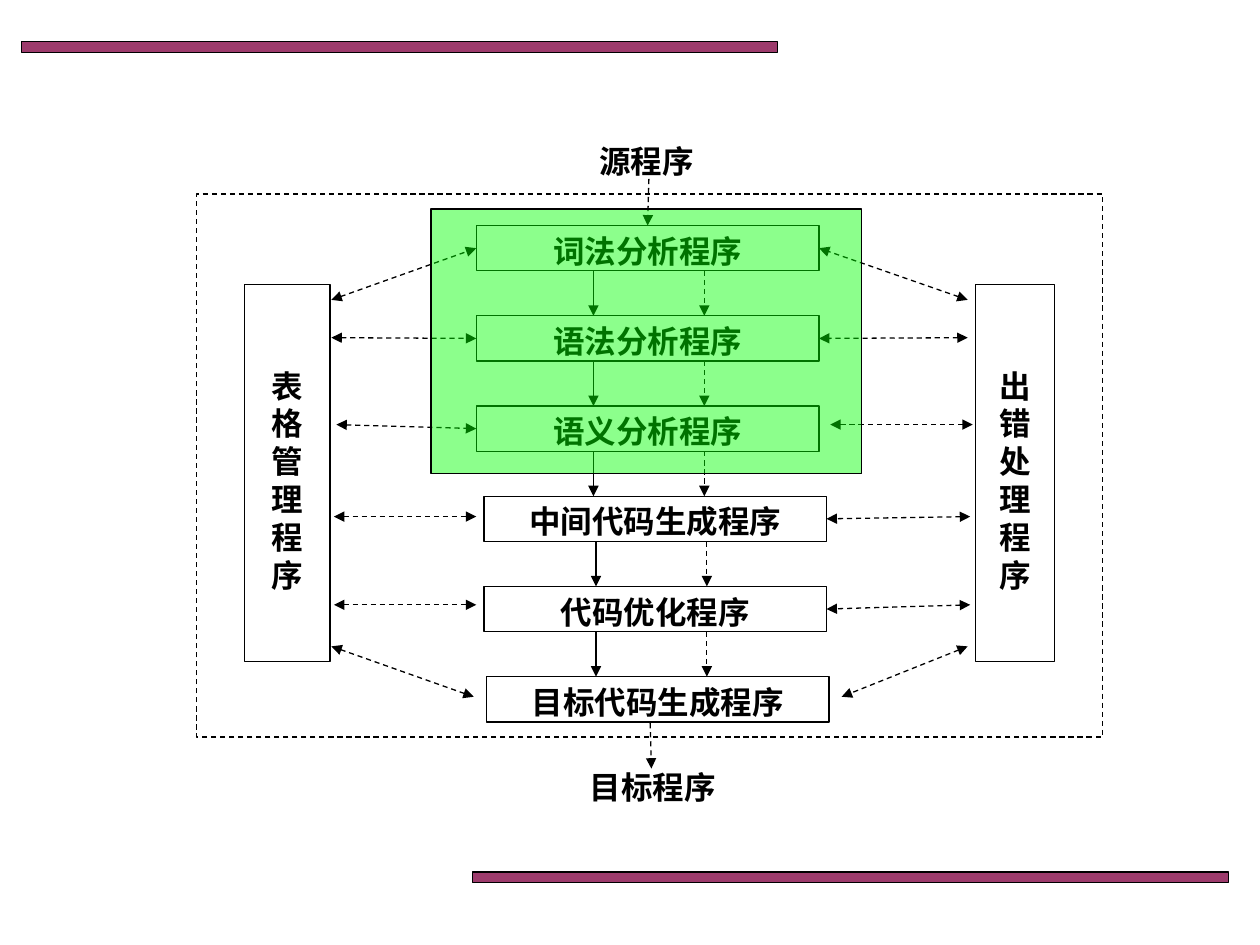
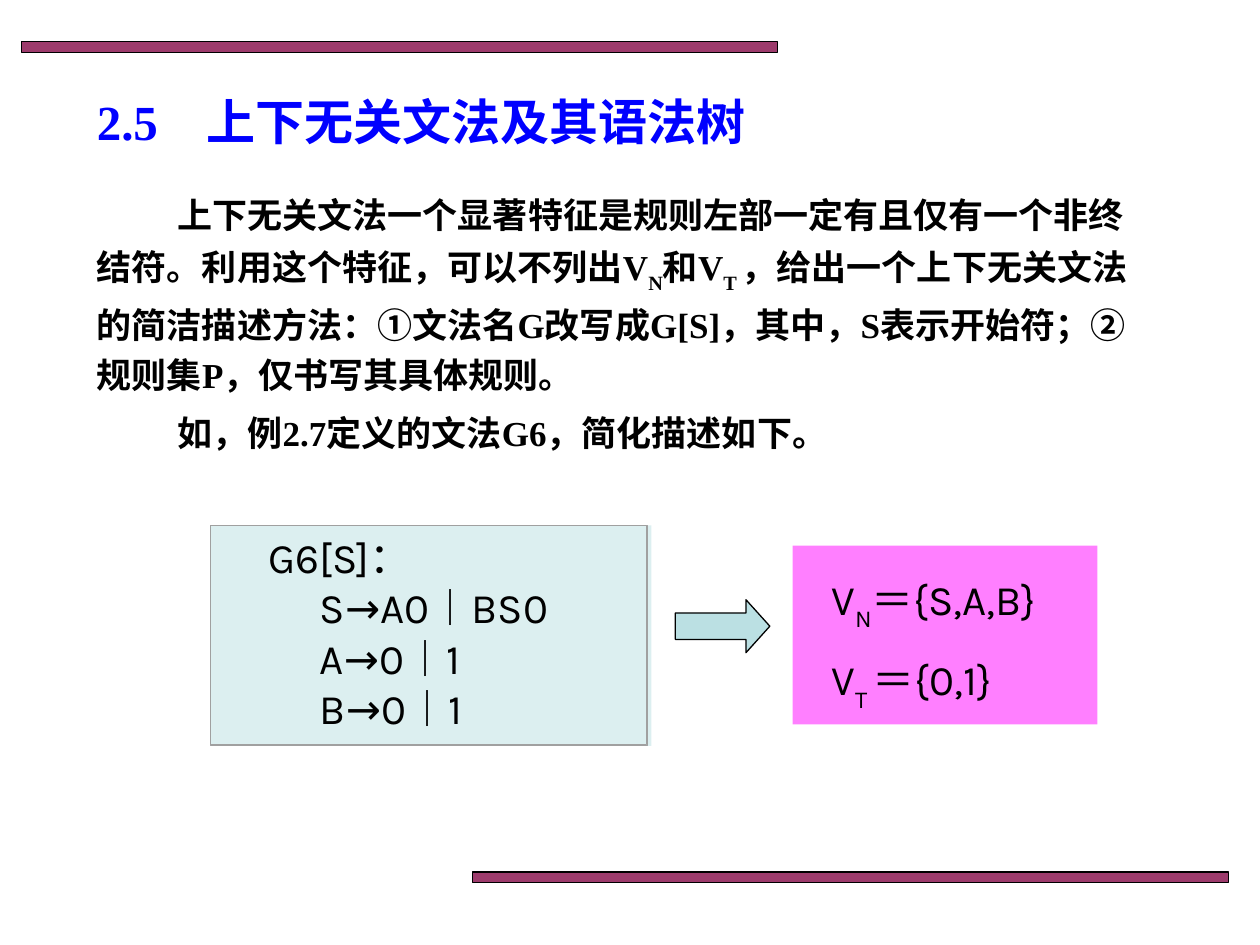
from collections import namedtuple
from math import hypot

from lxml.etree import SubElement
from pptx import Presentation
from pptx.dml.color import RGBColor
from pptx.enum.dml import MSO_LINE
from pptx.enum.shapes import MSO_CONNECTOR, MSO_SHAPE as SHAPE
from pptx.enum.text import MSO_ANCHOR as ANCHOR, PP_ALIGN as ALIGN
from pptx.oxml.ns import qn
from pptx.util import Inches, Pt

COLORS = {
    "black": "000000", "white": "FFFFFF", "bar": "993366", "title": "0000FF",
    "highlight": "00FF00", "sets": "FF00FF", "grammar": "BBE0E3", "edge": "A0A0A0",
}
SERIF, SANS = "Times New Roman", "Karla"
WIDTH, HEIGHT = Inches(10), Inches(7.5)
COL, ROW = WIDTH / 100, HEIGHT / 75
SNAP = 0.55

STEPS = ["词法分析程序", "语法分析程序", "语义分析程序",
         "中间代码生成程序", "代码优化程序", "目标代码生成程序"]
STEP_LEFTS = [22.2, 22.2, 22.2, 22.8, 22.8, 23]
Link = namedtuple("Link", "panel_y step_y panel_x left_x right_x")
LINKS = [
    Link(13, 8.7, 10.7, 21.8, 49.7),
    Link(16, 16, 10.7, 22, 49.9),
    Link(22.9, 22.9, 11.1, 22.4, 50.3),
    Link(30.2, 30.2, 10.9, 22.2, 50.1),
    Link(37.2, 37.2, 10.9, 22.2, 50.1),
    Link(40.5, 44.5, 10.7, 22, 51.2),
]
PANEL_GAP = 50.5


class Box(namedtuple("Box", "x y w h")):
    """A rectangle in grid columns and rows."""

    def sub(self, x, y, w, h):
        """Return a box placed relative to this one."""
        return Box(self.x + x, self.y + y, w, h)

    def point(self, x, y):
        """Return a grid point placed relative to this box."""
        return self.x + x, self.y + y

    def sides(self):
        """Return side middles in connection order: top, left, bottom, right."""
        mx, my = self.x + self.w / 2, self.y + self.h / 2
        return [(mx, self.y), (self.x, my), (mx, self.y + self.h), (self.x + self.w, my)]

    def emu(self):
        """Return left, top, width and height in EMU."""
        return [round(v * u) for v, u in zip(self, (COL, ROW, COL, ROW))]


def color(name):
    """Look up a named colour."""
    return RGBColor.from_string(COLORS[name])


def style_line(line, name="black", width=0.75, dashed=False):
    """Set colour, width and dash of an outline or connector."""
    line.color.rgb = color(name)
    line.width = Pt(width)
    if dashed:
        line.dash_style = MSO_LINE.DASH


def add_box(s, box, fill=None, alpha=None, line="black", width=0.75,
            dashed=False, kind=SHAPE.RECTANGLE):
    """Add a preset shape with optional fill, transparency and outline."""
    sp = s.shapes.add_shape(kind, *box.emu())
    sp.shadow.inherit = False
    if fill:
        sp.fill.solid()
        sp.fill.fore_color.rgb = color(fill)
        if alpha:
            clr = sp.element.spPr.find(f"{qn('a:solidFill')}/{qn('a:srgbClr')}")
            SubElement(clr, qn("a:alpha")).set("val", str(alpha * 1000))
    else:
        sp.fill.background()
    if line:
        style_line(sp.line, line, width, dashed)
    else:
        sp.line.fill.background()
    return sp


def write(sp, paras, size=18, font=SERIF, bold=True, ink="black", align=ALIGN.LEFT,
          anchor=ANCHOR.TOP, indents=(0,), spacing=None, before=0, top=0.05):
    """Write paragraphs; every second piece of a tuple is a subscript."""
    tf = sp.text_frame
    tf.word_wrap = True
    tf.vertical_anchor = anchor
    tf.margin_top = Inches(top)
    for i, para in enumerate(paras):
        p = tf.add_paragraph() if i else tf.paragraphs[0]
        p.alignment = align
        p.line_spacing = spacing
        if i:
            p.space_before = Pt(before)
        indent = indents[min(i, len(indents) - 1)]
        p._p.get_or_add_pPr().set("indent", str(round(indent * COL)))
        for j, piece in enumerate((para,) if isinstance(para, str) else para):
            r = p.add_run()
            r.text = piece
            r.font.size, r.font.name, r.font.bold = Pt(size), font, bold
            r.font.color.rgb = color(ink)
            if j % 2:
                r._r.get_or_add_rPr().set("baseline", "-30000")
    return sp


def add_text(s, box, paras, **fmt):
    """Add a text box with formatted paragraphs."""
    return write(s.shapes.add_textbox(*box.emu()), paras, **fmt)


def add_arrow(s, start, end, steps=(), dashed=True, both=False):
    """Draw an arrow and join ends that meet the middle of a step's side."""
    (x1, y1), (x2, y2) = start, end
    ends = [round(v) for v in (x1 * COL, y1 * ROW, x2 * COL, y2 * ROW)]
    cx = s.shapes.add_connector(MSO_CONNECTOR.STRAIGHT, *ends)
    style_line(cx.line, dashed=dashed)
    ln = cx.element.spPr.find(qn("a:ln"))
    for tag in ("a:headEnd", "a:tailEnd") if both else ("a:tailEnd",):
        SubElement(ln, qn(tag)).set("type", "triangle")
    SubElement(cx.element.spPr, qn("a:effectLst"))
    for (x, y), join in ((start, cx.begin_connect), (end, cx.end_connect)):
        for sp, box in steps:
            for side, (sx, sy) in enumerate(box.sides()):
                if hypot(sx - x, sy - y) < SNAP:
                    join(sp, side)


def new_slide(prs):
    """Add a blank slide with the two shared bars."""
    s = prs.slides.add_slide(prs.slide_layouts[6])
    for x, y in ((1.7, 3.3), (37.5, 69.2)):
        add_box(s, Box(x, y, 60, 0.85), fill="bar", alpha=96)
    return s


def draw_steps(s, area):
    """Draw the compiler phases and return each shape with its box."""
    steps = []
    for i, (left, name) in enumerate(zip(STEP_LEFTS, STEPS)):
        box = area.sub(left, 7.1 + 7.16 * i, 27.2, 3.6)
        sp = add_box(s, box, fill="white")
        steps.append((write(sp, [name], align=ALIGN.CENTER), box))
    return steps


def draw_flow(s, area, steps):
    """Draw the arrows that lead from the source down to the target program."""
    add_arrow(s, area.point(35.9, 3.4), area.point(35.9, 7), steps)
    add_arrow(s, area.point(36, 46.6), area.point(36.1, 50.2))
    for i, ((_, upper), (_, lower)) in enumerate(zip(steps, steps[1:])):
        shift = 0.2 if i > 2 else 0
        for x, dashed in ((31.5, False), (40.3, True)):
            x += area.x + shift
            add_arrow(s, (x, upper.y + upper.h), (x, lower.y), dashed=dashed)


def draw_links(s, area, steps):
    """Draw the two-way arrows between the phases and both side panels."""
    for k in LINKS:
        for panel_x, step_x in ((k.panel_x, k.left_x),
                                (k.panel_x + PANEL_GAP, k.right_x)):
            add_arrow(s, area.point(panel_x, k.panel_y),
                      area.point(step_x, k.step_y), steps, both=True)


def draw_compiler(s, area):
    """Draw the whole compiler structure inside the given box."""
    for x, y, name in ((22.1, 0, "源程序"), (22.6, 49.7, "目标程序")):
        add_text(s, area.sub(x, y, 27.2, 3.6), [name], align=ALIGN.CENTER)
    steps = draw_steps(s, area)
    for x, w, name in ((3.8, 6.8, "表格管理程序"), (61.8, 6.3, "出错处理程序")):
        sp = add_box(s, area.sub(x, 11.8, w, 29.9), fill="white")
        write(sp, [name], align=ALIGN.CENTER, top=0.65)
    draw_flow(s, area, steps)
    draw_links(s, area, steps)
    add_box(s, area.sub(0, 4.6, area.w, 43.1), dashed=True)
    add_box(s, area.sub(18.6, 5.8, 34.2, 21), fill="highlight", alpha=45)


def draw_body(s, area):
    """Write the heading and the explanation below it."""
    add_text(s, area.sub(0, 0, 54.9, 5.8), ["2.5　上下无关文法及其语法树"],
             size=28, ink="title", anchor=ANCHOR.MIDDLE)
    add_text(s, area.sub(0, 7.5, area.w, 21.9), [
        ("上下无关文法一个显著特征是规则左部一定有且仅有一个非终结符。利用这个特征，可以不列出V",
         "N", "和V", "T ",
         "，给出一个上下无关文法的简洁描述方法：①文法名G改写成G[S]，其中，S表示开始符；"
         "②规则集P，仅书写其具体规则。"),
        "如，例2.7定义的文法G6，简化描述如下。",
    ], size=20, indents=(6.4,), spacing=1.2, before=4)


def draw_grammar(s, area):
    """Draw the framed grammar rules."""
    add_box(s, area, fill="grammar", alpha=50, line=None)
    add_text(s, area.sub(0.7, 0, 33.1, 17.4),
             ["G6[S]：", "S→A0︱BS0", "A→0︱1", "B→0︱1"],
             size=24, font=SANS, bold=False, align=ALIGN.JUSTIFY, indents=(2.9, 7))
    for w, h, width in ((34.6, 17.4, 0), (34.7, 17.5, 0.5)):
        add_box(s, area.sub(0, 0, w, h), line="edge", width=width)


def draw_sets(s, area):
    """Draw the panel with the two symbol sets."""
    add_box(s, area, fill="sets", alpha=50, line=None)
    add_text(s, area.sub(2.1, 1.7, 22.5, 11),
             [("V", "N", "＝{S,A,B}"), ("V", "T ", "＝{0,1}")],
             size=24, font=SANS, bold=False, before=12)


def main():
    """Build and save the presentation."""
    prs = Presentation()
    prs.slide_width, prs.slide_height = WIDTH, HEIGHT
    draw_compiler(new_slide(prs), Box(15.6, 10.8, 71.9, 53.3))
    s = new_slide(prs)
    draw_sets(s, Box(62.9, 43.3, 24.2, 14.2))
    draw_body(s, Box(6.7, 6.7, 85.8, 29.4))
    draw_grammar(s, Box(16.7, 41.7, 35, 17.5))
    sp = add_box(s, Box(53.6, 47.6, 7.5, 4.2), fill="grammar", kind=SHAPE.RIGHT_ARROW)
    sp.adjustments[1] = 0.45
    prs.save("out.pptx")


if __name__ == "__main__":
    main()
